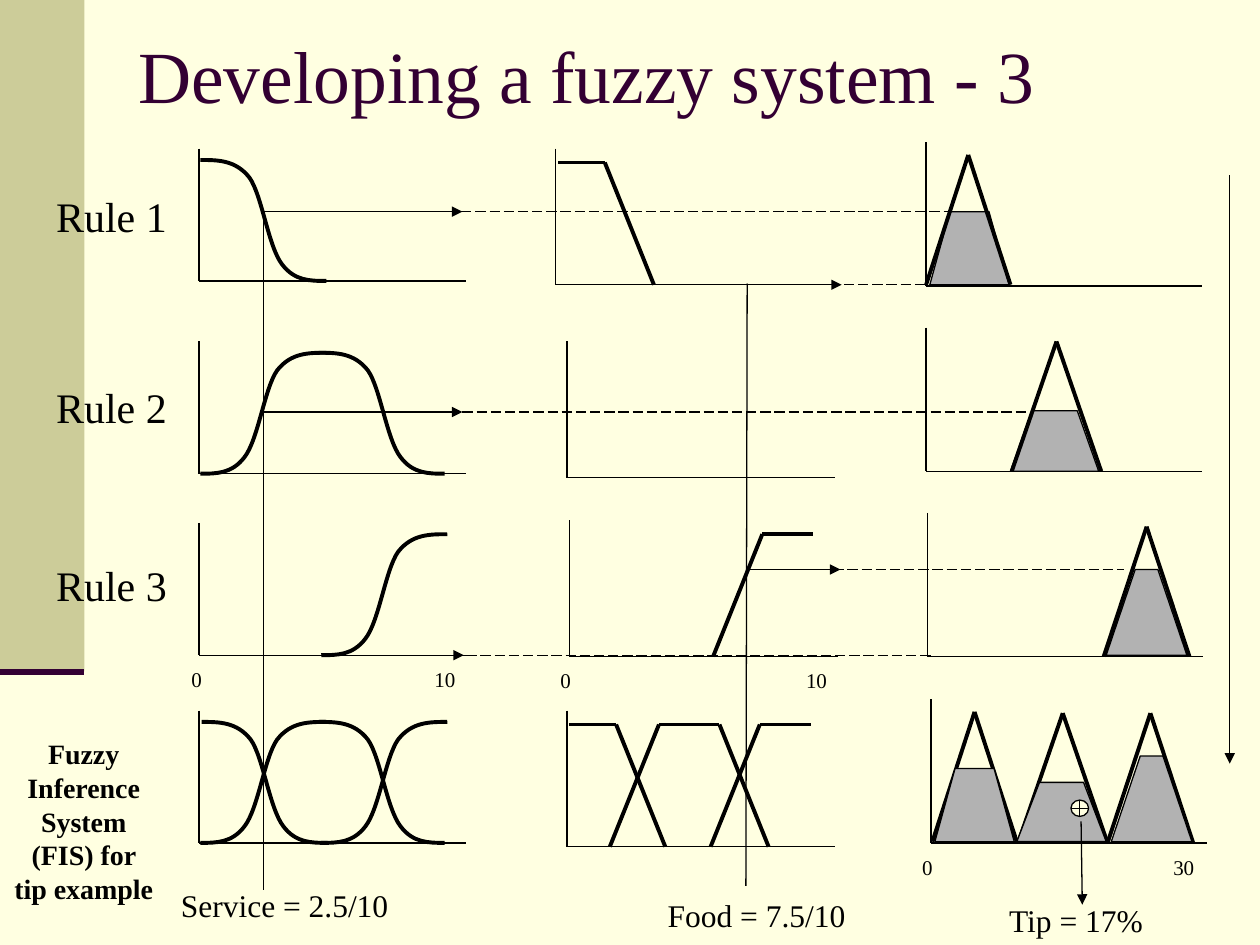
from dataclasses import dataclass
from itertools import pairwise
from typing import Any, Iterable

from lxml.etree import SubElement
from pptx import Presentation
from pptx.dml.color import RGBColor as Rgb
from pptx.enum.dml import MSO_LINE_DASH_STYLE as Dash
from pptx.enum.shapes import MSO_CONNECTOR as Link, MSO_SHAPE as Preset
from pptx.enum.text import MSO_ANCHOR as Anchor, PP_ALIGN as Align
from pptx.oxml.ns import qn
from pptx.util import Cm, Pt

Point = tuple[float, float]
MODULE_CM = 2.54


@dataclass(frozen=True)
class Theme:
    paper: Rgb = Rgb(0xFF, 0xFF, 0xE1)
    band: Rgb = Rgb(0xCC, 0xCC, 0x99)
    accent: Rgb = Rgb(0x33, 0x00, 0x33)
    ink: Rgb = Rgb(0x00, 0x00, 0x00)
    clipped: Rgb = Rgb(0xB2, 0xB2, 0xB2)
    font: str = "Times New Roman"
    title: Pt = Pt(42)
    rule: Pt = Pt(24)
    reading: Pt = Pt(18)
    system: Pt = Pt(16)
    tick: Pt = Pt(12)
    thin: Pt = Pt(0.75)
    bold: Pt = Pt(2.25)
    border: Pt = Pt(3.5)


@dataclass(frozen=True)
class Axes:
    left: float
    base: float
    width: float
    height: float


@dataclass(frozen=True)
class Sigmoid:
    foot: float
    base: float
    direction: int


@dataclass(frozen=True)
class Peak:
    left: float
    right: float
    base: float


@dataclass(frozen=True)
class Clip:
    left: float
    base: float
    width: float
    height: float
    inset: float


@dataclass(frozen=True)
class Label:
    words: str
    left: float
    top: float
    width: float
    height: float
    size: Pt
    wrap: bool = True


THEME = Theme()
SIGMOID_STEPS = [(0, 0), (0.13, 0), (0.25, 0), (0.35, 0.13), (0.46, 0.27),
                 (0.51, 0.68), (0.61, 0.82), (0.72, 0.96), (0.86, 0.96), (1, 0.96)]
PEAK_HEIGHT = 1.03

AXES = [
    *(Axes(1.58, base, 2.12, 1.05) for base in (2.23, 3.76, 5.2, 6.69)),
    *(Axes(left, base, 2.13, 1.08)
      for left, base in ((4.41, 2.26), (4.5, 3.79), (4.52, 5.21), (4.5, 6.72))),
    *(Axes(left, base, 2.19, 1.14)
      for left, base in ((7.35, 2.27), (7.35, 3.74), (7.36, 5.21), (7.39, 6.69))),
]
SERVICE_CURVES = [
    Sigmoid(2.59, 2.23, -1),
    Sigmoid(1.59, 3.76, 1), Sigmoid(3.53, 3.76, -1),
    Sigmoid(2.55, 5.2, 1),
    Sigmoid(1.59, 6.69, 1), Sigmoid(3.53, 6.69, -1),
    Sigmoid(2.6, 6.69, -1), Sigmoid(2.55, 6.69, 1),
]
FOOD_RAMPS = [
    [(4.43, 1.29), (4.8, 1.29), (5.19, 2.26)],
    [(5.66, 5.21), (6.05, 4.24), (6.45, 4.24)],
    [(4.52, 5.75), (4.89, 5.75), (5.28, 6.72)],
    [(4.84, 6.72), (5.23, 5.75), (5.71, 5.75), (6.1, 6.72)],
    [(5.64, 6.72), (6.03, 5.75), (6.44, 5.75)],
]
RULE_PEAKS = [Peak(7.35, 8.02, 2.26), Peak(8.03, 8.74, 3.74), Peak(8.76, 9.44, 5.21)]
TOTAL_PEAKS = [Peak(7.4, 8.07, 6.68), Peak(8.08, 8.79, 6.69), Peak(8.79, 9.47, 6.69)]
CLIPS = [
    Clip(7.38, 2.26, 0.63, 0.58, 0.16),
    Clip(8.02, 3.74, 0.7, 0.48, 0.17),
    Clip(8.78, 5.2, 0.64, 0.68, 0.23),
    Clip(7.42, 6.68, 0.63, 0.58, 0.16),
    Clip(8.07, 6.68, 0.71, 0.47, 0.18),
    Clip(8.82, 6.68, 0.64, 0.68, 0.23),
]
INPUT_LINES = [[(2.09, 7.06), (2.09, 1.74)], [(5.92, 7.03), (5.93, 2.25)]]
ARROWS = [
    [(2.09, 1.68), (3.67, 1.68)], [(2.08, 3.27), (3.67, 3.27)],
    [(2.1, 5.2), (3.68, 5.2)], [(5.93, 2.26), (6.68, 2.26)],
    [(5.92, 4.52), (6.67, 4.52)], [(9.76, 1.39), (9.76, 6.06)],
    [(8.58, 6.52), (8.59, 7.18)],
]
PROJECTIONS = [
    [(3.66, 1.68), (7.57, 1.68)], [(6.36, 2.26), (7.36, 2.26)],
    [(3.67, 3.27), (8.17, 3.27)], [(6.5, 4.52), (8.92, 4.52)],
    [(2.8, 5.2), (7.39, 5.2)],
]
LABELS = [
    *(Label(f"Rule {number}", 0.26, top, 1.25, 0.5, THEME.rule)
      for number, top in enumerate((1.46, 2.98, 4.39), 1)),
    *(Label(words, left, top, width, 0.2, THEME.tick, False)
      for words, left, top, width in (
          ("0", 1.42, 5.24, 0.27), ("10", 3.34, 5.24, 0.38),
          ("0", 4.35, 5.25, 0.27), ("10", 6.27, 5.25, 0.42),
          ("0", 7.22, 6.73, 0.28), ("30", 9.17, 6.73, 0.45))),
    Label("Service = 2.5/10", 1.01, 6.98, 2.5, 0.4, THEME.reading),
    Label("Food = 7.5/10", 4.92, 7.06, 2.17, 0.4, THEME.reading),
    Label("Tip = 17%", 7.75, 7.1, 1.58, 0.4, THEME.reading),
]


def grid(modules: float) -> Cm:
    return Cm(modules * MODULE_CM)


def apply(target: Any, formats: dict[str, Any]) -> None:
    for name, setting in formats.items():
        setattr(target, name, setting)


def paint(shape: Any, fill: Rgb | None, stroke: Rgb | None, weight: Pt = THEME.thin) -> None:
    shape.shadow.inherit = False
    for format_part, colour in ((shape.fill, fill), (shape.line.fill, stroke)):
        if colour is None:
            format_part.background()
        else:
            format_part.solid()
            format_part.fore_color.rgb = colour
    if stroke is not None:
        shape.line.width = weight


def draw_path(slide: Any, points: Iterable[Point], weight: Pt = THEME.thin,
              colour: Rgb = THEME.ink, dash: Any = None, arrow: bool = False) -> None:
    for start, end in pairwise(points):
        link = slide.shapes.add_connector(Link.STRAIGHT, *map(grid, (*start, *end)))
        link.line.color.rgb = colour
        apply(link.line, {"width": weight, "dash_style": dash})
        properties = link.element.spPr
        if arrow:
            SubElement(properties.find(qn("a:ln")), qn("a:tailEnd"), type="triangle")
        SubElement(properties, qn("a:effectLst"))


def draw_outline(slide: Any, points: list[Point], closed: bool) -> Any:
    corners = [(grid(x), grid(y)) for x, y in points]
    builder = slide.shapes.build_freeform(*corners[0])
    builder.add_line_segments(corners[1:], close=closed)
    return builder.convert_to_shape()


def draw_axes(slide: Any, axes: Axes) -> None:
    draw_path(slide, [(axes.left, axes.base - axes.height), (axes.left, axes.base),
                      (axes.left + axes.width, axes.base)])


def draw_sigmoid(slide: Any, curve: Sigmoid) -> None:
    points = [(curve.foot + curve.direction * x, curve.base - y) for x, y in SIGMOID_STEPS]
    shape = draw_outline(slide, points, False)
    paint(shape, None, THEME.ink, THEME.bold)
    outline = next(shape.element.iter(qn("a:path")))
    steps = outline.findall(qn("a:lnTo"))
    for first in range(0, len(steps), 3):
        bezier = SubElement(outline, qn("a:cubicBezTo"))
        for step in steps[first:first + 3]:
            bezier.append(step[0])
            outline.remove(step)


def draw_peak(slide: Any, peak: Peak) -> None:
    summit = ((peak.left + peak.right) / 2, peak.base - PEAK_HEIGHT)
    draw_path(slide, [(peak.left, peak.base), summit, (peak.right, peak.base)], THEME.bold)


def draw_clip(slide: Any, clip: Clip) -> None:
    right, top = clip.left + clip.width, clip.base - clip.height
    corners = [(clip.left, clip.base), (right, clip.base),
               (right - clip.inset, top), (clip.left + clip.inset, top)]
    paint(draw_outline(slide, corners, True), THEME.clipped, THEME.ink)


def write(slide: Any, label: Label, colour: Rgb = THEME.ink, bold: bool = False,
          align: Any = Align.CENTER, anchor: Any = Anchor.TOP) -> None:
    place = map(grid, (label.left, label.top, label.width, label.height))
    frame = slide.shapes.add_textbox(*place).text_frame
    apply(frame, {"text": label.words, "word_wrap": label.wrap, "vertical_anchor": anchor})
    paragraph = frame.paragraphs[0]
    paragraph.alignment = align
    font = paragraph.runs[0].font
    apply(font, {"name": THEME.font, "size": label.size, "bold": bold})
    font.color.rgb = colour


def main() -> None:
    deck = Presentation()
    apply(deck, {"slide_width": grid(10), "slide_height": grid(7.5)})
    slide = deck.slides.add_slide(deck.slide_layouts[6])
    slide.background.fill.solid()
    slide.background.fill.fore_color.rgb = THEME.paper

    band = slide.shapes.add_shape(Preset.RECTANGLE, *map(grid, (0, 0, 0.67, 5.33)))
    paint(band, THEME.band, None)
    draw_path(slide, [(0, 5.33), (0.67, 5.33)], THEME.border, THEME.accent)
    write(slide, Label("Developing a fuzzy system - 3", 1, 0, 8.5, 1.17, THEME.title),
          THEME.accent, align=Align.LEFT, anchor=Anchor.MIDDLE)

    for axes in AXES:
        draw_axes(slide, axes)
    for curve in SERVICE_CURVES:
        draw_sigmoid(slide, curve)
    for ramp in FOOD_RAMPS:
        draw_path(slide, ramp, THEME.bold)
    for peak in TOTAL_PEAKS:
        draw_peak(slide, peak)
    for reading in INPUT_LINES:
        draw_path(slide, reading)
    for projection in PROJECTIONS:
        draw_path(slide, projection, dash=Dash.LONG_DASH)
    for clip in CLIPS:
        draw_clip(slide, clip)
    for peak in RULE_PEAKS:
        draw_peak(slide, peak)
    centroid = slide.shapes.add_shape(Preset.FLOWCHART_OR, *map(grid, (8.5, 6.35, 0.14, 0.13)))
    paint(centroid, THEME.paper, THEME.ink)
    for arrow in ARROWS:
        draw_path(slide, arrow, arrow=True)
    for label in LABELS:
        write(slide, label)
    write(slide, Label("Fuzzy Inference System (FIS) for tip example",
                       0, 5.8, 1.33, 1.44, THEME.system), bold=True)
    deck.save("out.pptx")


if __name__ == "__main__":
    main()
